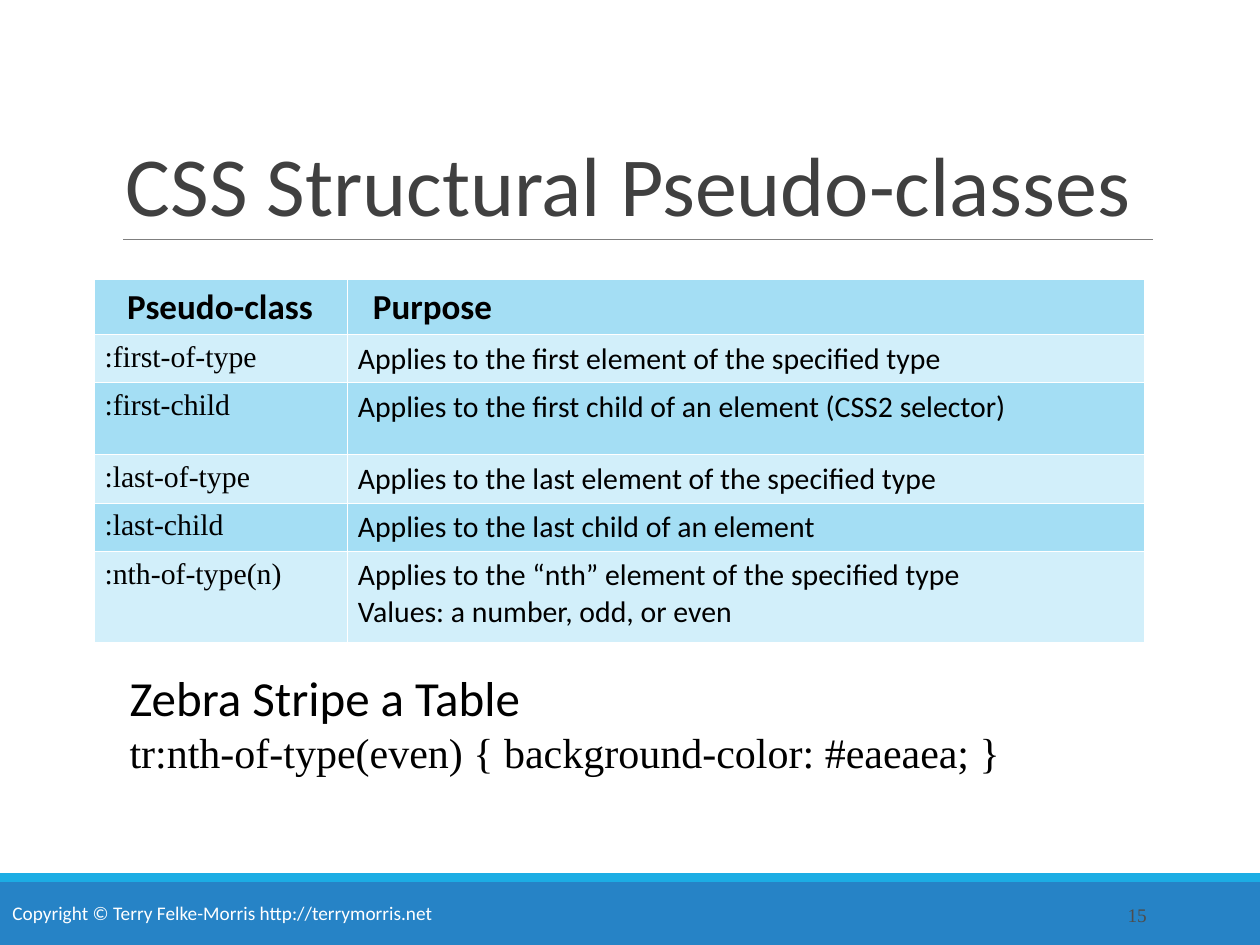
"""Build a slide on CSS structural pseudo-classes with a table and a sample rule."""
from lxml.etree import SubElement
from pptx import Presentation
from pptx.dml.color import RGBColor as Color
from pptx.enum.shapes import MSO_CONNECTOR as Connector, MSO_SHAPE as Preset
from pptx.enum.text import MSO_ANCHOR as Anchor, PP_ALIGN as Align
from pptx.oxml.ns import qn
from pptx.util import Inches, Pt

THEME = {
    "sans": "Calibri", "serif": "Times New Roman",
    "title": 48, "lead": 28, "code": 24, "header": 20, "body": 17, "small": 11,
    "ink": "000000", "heading": "404040", "number": "4D4D4D", "white": "FFFFFF",
    "rule": "7F7F7F", "footer": "2683C6", "accent": "1CADE4",
    "bands": ("A4DEF4", "D2EFFA"),
}

presentation = Presentation()
presentation.slide_width, presentation.slide_height = Inches(10), Inches(7.5)
slide = presentation.slides.add_slide(presentation.slide_layouts[6])


def place(left, top, width, height):
    """Turn percentages of the slide into lengths."""
    across, down = presentation.slide_width / 100, presentation.slide_height / 100
    return int(left * across), int(top * down), int(width * across), int(height * down)


def write(frame, runs, **layout):
    """Write (text, size, face, colour) runs on successive lines of one paragraph."""
    paragraph = frame.paragraphs[0]
    for name, value in layout.items():
        setattr(paragraph, name, value)
    for index, (text, size, face, color) in enumerate(runs):
        if index:
            paragraph.add_line_break()
        run = paragraph.add_run()
        run.text = text
        font = {"size": Pt(THEME[size]), "name": THEME[face], "bold": size == "header"}
        for name, value in font.items():
            setattr(run.font, name, value)
        run.font.color.rgb = Color.from_string(THEME[color])


for top, height, color in ((93.33, 6.67, "footer"), (92.4, 0.93, "accent")):
    band = slide.shapes.add_shape(Preset.RECTANGLE, *place(0, top, 100, height))
    band.shadow.inherit = False
    band.fill.solid()
    band.fill.fore_color.rgb = Color.from_string(THEME[color])
    band.line.fill.background()

left, top, right, bottom = place(9.8, 25.33, 91.5, 25.33)
rule = slide.shapes.add_connector(Connector.STRAIGHT, left, top, right, bottom)
rule.line.color.rgb = Color.from_string(THEME["rule"])
rule.line.width = Pt(0.5)
SubElement(rule._element.spPr, qn("a:effectLst"))

TEXTS = (
    ((0, 94.67, 65, 3.87), {"word_wrap": True}, {},
     [("Copyright © Terry Felke-Morris http://terrymorris.net", "small", "sans", "white")]),
    ((9, 4.13, 82.5, 21.2), {"word_wrap": True, "vertical_anchor": Anchor.BOTTOM},
     {"line_spacing": 0.85},
     [("CSS Structural Pseudo-classes", "title", "sans", "heading")]),
    ((81.2, 94.13, 10.8, 5.33), {"word_wrap": True, "vertical_anchor": Anchor.MIDDLE},
     {"alignment": Align.RIGHT}, [("15", "small", "serif", "number")]),
    ((9.3, 70, 71.1, 12.93), {"word_wrap": False}, {},
     [("Zebra Stripe a Table", "lead", "sans", "ink"),
      ("tr:nth-of-type(even) { background-color: #eaeaea; }", "code", "serif", "ink")]),
)
for box, settings, layout, runs in TEXTS:
    frame = slide.shapes.add_textbox(*place(*box)).text_frame
    for name, value in settings.items():
        setattr(frame, name, value)
    write(frame, runs, **layout)

ROWS = (
    (4.4, "Pseudo-class", ["Purpose"]),
    (5.07, ":first-of-type", ["Applies to the first element of the specified type"]),
    (7.6, ":first-child", ["Applies to the first child of an element (CSS2 selector)"]),
    (4.8, ":last-of-type", ["Applies to the last element of the specified type"]),
    (4.8, ":last-child", ["Applies to the last child of an element"]),
    (9.6, ":nth-of-type(n)", ["Applies to the “nth” element of the specified type",
                              "Values: a number, odd, or even"]),
)
COLUMNS = (20.1, 63.2)
HEADER_INDENTS = (0.26, 0.2)
table_height = sum(height for height, *_ in ROWS)
table = slide.shapes.add_table(
    len(ROWS), len(COLUMNS), *place(7.5, 29.6, sum(COLUMNS), table_height)).table
table.first_row = table.horz_banding = False
for column, width in zip(table.columns, COLUMNS):
    column.width = place(0, 0, width, 0)[2]

for row_index, (height, selector, purpose) in enumerate(ROWS):
    table.rows[row_index].height = place(0, 0, 0, height)[3]
    for column_index, lines in enumerate(([selector], purpose)):
        cell = table.cell(row_index, column_index)
        is_header = row_index == 0
        margins = {
            "margin_left": Inches(HEADER_INDENTS[column_index] if is_header else 0.08),
            "margin_right": Inches(0.08),
            "margin_top": Inches(0.05), "margin_bottom": Inches(0.05),
        }
        for name, value in margins.items():
            setattr(cell, name, value)
        size = "header" if is_header else "body"
        face = "sans" if is_header or column_index else "serif"
        write(cell.text_frame, [(line, size, face, "ink") for line in lines])
        properties = cell._tc.get_or_add_tcPr()
        for side in ("lnL", "lnR", "lnT", "lnB"):
            border = SubElement(properties, qn(f"a:{side}"), w=str(Pt(0.45)))
            paint = SubElement(border, qn("a:solidFill"))
            SubElement(paint, qn("a:srgbClr"), val=THEME["white"])
        cell.fill.solid()
        cell.fill.fore_color.rgb = Color.from_string(THEME["bands"][row_index % 2])

presentation.save("out.pptx")
